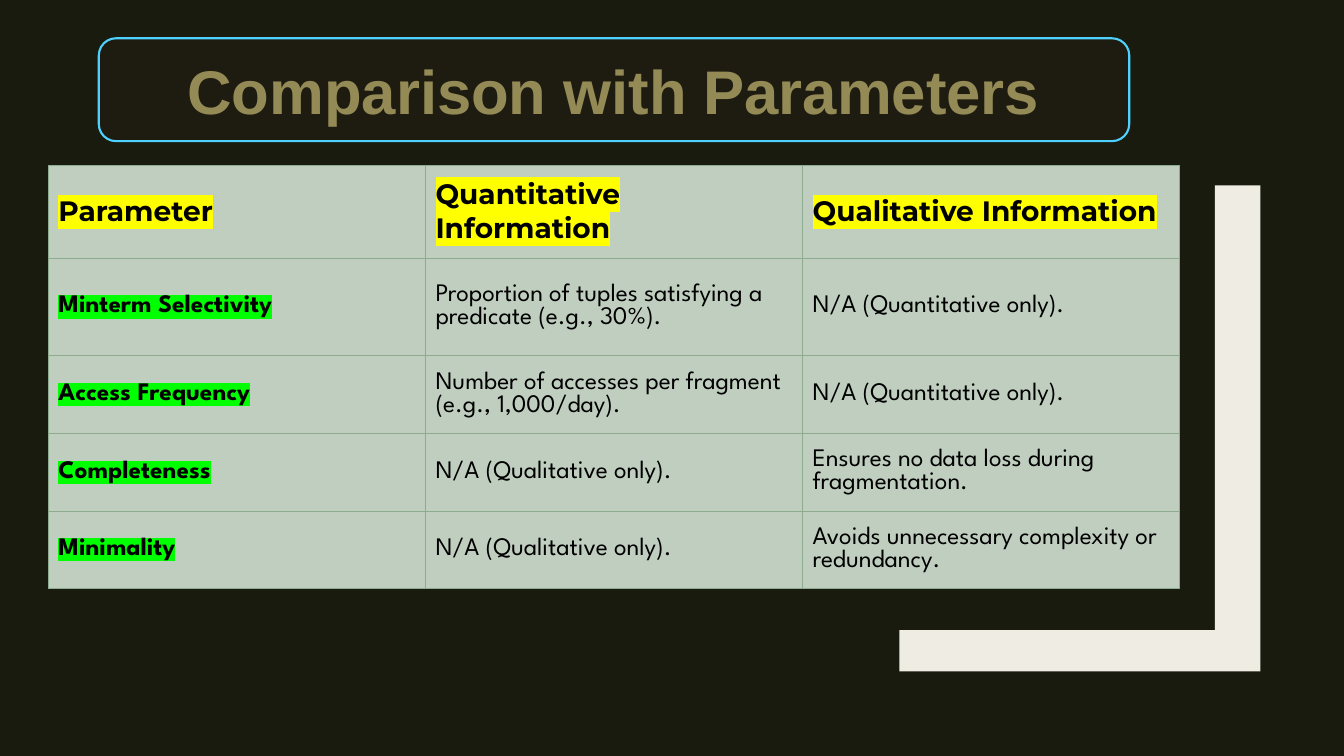
import pptx
import pptx.util
import pptx.dml.color
import pptx.enum.shapes
import pptx.enum.text
import pptx.oxml
import pptx.oxml.ns
from lxml import etree

Inches = pptx.util.Inches
Pt = pptx.util.Pt

TITLE = "Comparison with Parameters"
ROWS = [
    ("Parameter", "Quantitative Information", "Qualitative Information"),
    ("Minterm Selectivity", "Proportion of tuples satisfying a predicate (e.g., 30%).",
     "N/A (Quantitative only)."),
    ("Access Frequency", "Number of accesses per fragment (e.g., 1,000/day).",
     "N/A (Quantitative only)."),
    ("Completeness", "N/A (Qualitative only).", "Ensures no data loss during fragmentation."),
    ("Minimality", "N/A (Qualitative only).", "Avoids unnecessary complexity or redundancy."),
]
ROW_HEIGHTS = [0.92, 0.97, 0.77, 0.77, 0.77]
COLUMN_WIDTH = 3.74
BRACKET = [(12.05, 1.84), (12.5, 1.84), (12.5, 6.66), (8.92, 6.66), (8.92, 6.25), (12.05, 6.25)]

THEME = {
    "background": "191B0E", "bracket": "EFEDE3",
    "title_fill": "1E1C11", "title_line": "4FD1FF",
    "cell": "C0CEC0", "border": "8DAB8E",
    # font, size, colour, bold, highlight
    "title": ("Arial", 44, "948A55", True, None),
    "header": ("Montserrat", 20, "000000", True, "FFFF00"),
    "label": ("League Spartan", 18, "000000", True, "00FF00"),
    "body": ("League Spartan", 18, "000000", False, None),
}


def rgb(name):
    return pptx.dml.color.RGBColor.from_string(THEME[name])


def fill_solid(target, name):
    target.fill.solid()
    target.fill.fore_color.rgb = rgb(name)


def add_run(p, text, style):
    font, size, color, bold, highlight = THEME[style]
    r = p.add_run()
    r.text = text
    r.font.name, r.font.size, r.font.bold = font, Pt(size), bold
    r.font.color.rgb = pptx.dml.color.RGBColor.from_string(color)
    if highlight:
        mark = pptx.oxml.parse_xml(
            f'<a:highlight {pptx.oxml.ns.nsdecls("a")}><a:srgbClr val="{highlight}"/></a:highlight>')
        r.font._element.find(pptx.oxml.ns.qn("a:solidFill")).addnext(mark)


def add_borders(cell):
    tcPr = cell._tc.get_or_add_tcPr()
    for side in ("lnL", "lnR", "lnT", "lnB"):
        ln = etree.SubElement(tcPr, pptx.oxml.ns.qn(f"a:{side}"), w=str(Pt(0.5)))
        solid = etree.SubElement(ln, pptx.oxml.ns.qn("a:solidFill"))
        etree.SubElement(solid, pptx.oxml.ns.qn("a:srgbClr"), val=THEME["border"])


def add_bracket(s):
    points = [(Inches(x), Inches(y)) for x, y in BRACKET]
    builder = s.shapes.build_freeform(*points[0])
    builder.add_line_segments(points[1:], close=True)
    sp = builder.convert_to_shape()
    sp.shadow.inherit = False
    fill_solid(sp, "bracket")
    sp.line.fill.background()


def add_title(s):
    sp = s.shapes.add_shape(pptx.enum.shapes.MSO_SHAPE.ROUNDED_RECTANGLE,
                            Inches(0.98), Inches(0.38), Inches(10.22), Inches(1.02))
    sp.shadow.inherit = False
    fill_solid(sp, "title_fill")
    sp.line.color.rgb = rgb("title_line")
    sp.line.width = Pt(1.5)
    tf = sp.text_frame
    tf.word_wrap = True
    tf.vertical_anchor = pptx.enum.text.MSO_ANCHOR.MIDDLE
    p = tf.paragraphs[0]
    p.alignment = pptx.enum.text.PP_ALIGN.CENTER
    add_run(p, TITLE, "title")


def add_comparison(s):
    columns = len(ROWS[0])
    table = s.shapes.add_table(len(ROWS), columns, Inches(0.48), Inches(1.64),
                               Inches(COLUMN_WIDTH * columns), Inches(sum(ROW_HEIGHTS))).table
    table.first_row = table.horz_banding = False
    for column in table.columns:
        column.width = Inches(COLUMN_WIDTH)
    for i, (texts, height) in enumerate(zip(ROWS, ROW_HEIGHTS)):
        table.rows[i].height = Inches(height)
        for j, text in enumerate(texts):
            cell = table.cell(i, j)
            add_borders(cell)
            fill_solid(cell, "cell")
            cell.vertical_anchor = pptx.enum.text.MSO_ANCHOR.MIDDLE
            style = "header" if i == 0 else "label" if j == 0 else "body"
            add_run(cell.text_frame.paragraphs[0], text, style)


def main():
    prs = pptx.Presentation()
    prs.slide_width, prs.slide_height = Inches(13.33), Inches(7.5)
    s = prs.slides.add_slide(prs.slide_layouts[6])
    fill_solid(s.background, "background")
    add_bracket(s)
    add_title(s)
    add_comparison(s)
    prs.save("out.pptx")


if __name__ == "__main__":
    main()
